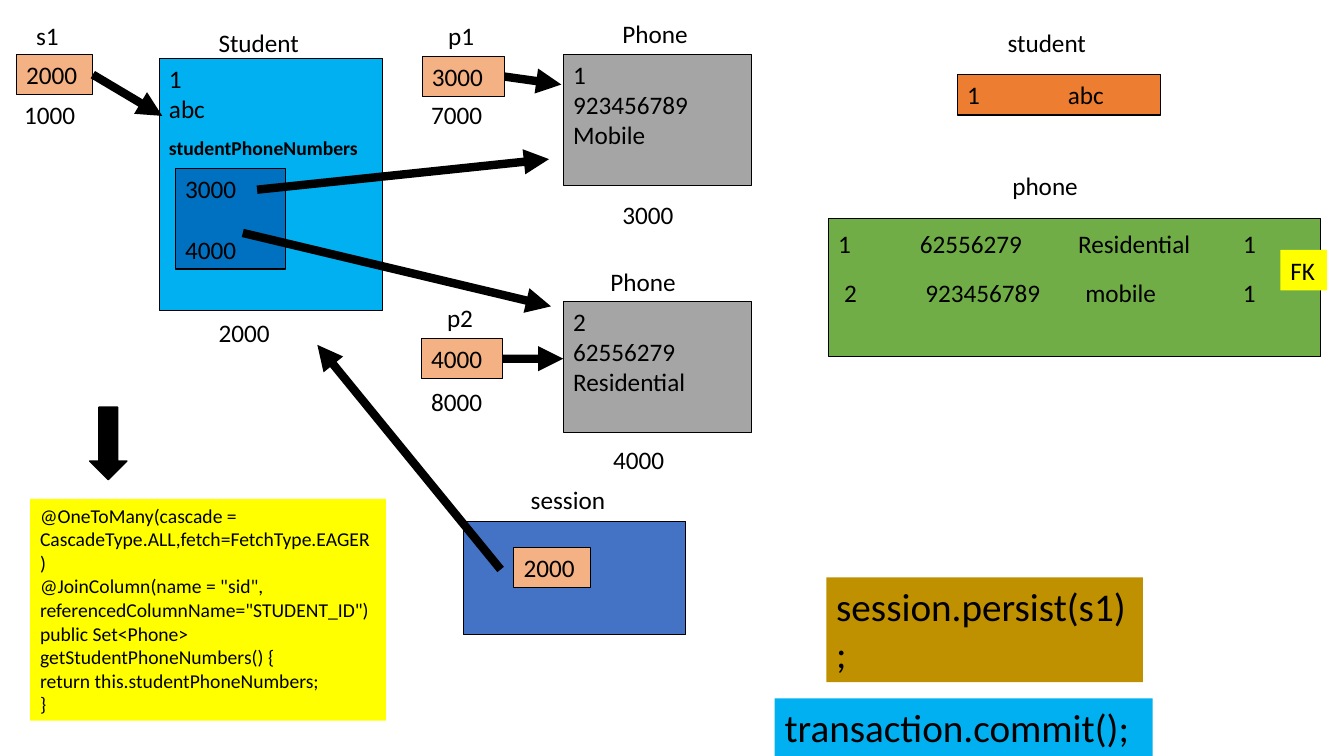
from lxml import etree
from pptx import Presentation, util as u
from pptx.dml.color import RGBColor
from pptx.enum import shapes, text
from pptx.oxml.ns import qn

BLACK, PEACH, GREY, YELLOW, SKY = "000000", "F4B183", "A5A5A5", "FFFF00", "00B0F0"
HEIGHT = 1.02

LABELS = [
    ("s1", 0.66, 0.38, 1.42), ("1000", 0.36, 2.39, 2.06),
    ("Student", 5.26, 0.56, 2.74), ("2000", 5.26, 7.87, 2.13),
    ("p1", 11.05, 0.38, 1.24), ("7000", 10.62, 2.39, 2.06),
    ("p2", 11.02, 7.49, 1.22), ("8000", 10.62, 9.6, 2.06),
    ("Phone", 15.44, 0.33, 2.74), ("3000", 15.44, 4.9, 2.13),
    ("Phone", 15.14, 6.58, 2.74), ("4000", 15.21, 11.07, 2.13),
    ("student", 25.15, 0.56, 2.84), ("phone", 25.27, 4.17, 2.59),
    ("session", 13.13, 12.09, 2.74),
]

BOXES = {
    "student": (["1", "abc"], 4.01, 1.47, 5.64, 6.35, SKY),
    "phone numbers": (["3000", "4000"], 4.42, 4.24, 2.77, 2.54, "0070C0"),
    "mobile": (["1", "923456789", "Mobile"], 14.2, 1.37, 4.75, 3.3, GREY),
    "residential": (["2", "62556279", "Residential"], 14.2, 7.59, 4.75, 3.3, GREY),
    "s1": (["2000"], 0.41, 1.37, 1.93, HEIGHT, PEACH),
    "p1": (["3000"], 10.64, 1.42, 2.08, HEIGHT, PEACH),
    "p2": (["4000"], 10.62, 8.53, 2.06, HEIGHT, PEACH),
    "student row": (["1\tabc"], 24.13, 1.88, 5.13, HEIGHT, "ED7D31"),
    "phone rows": (["1\t62556279\tResidential\t1", "\t2\t923456789\tmobile\t1"],
                   20.88, 5.51, 12.4, 3.48, "70AD47"),
    "session": ([], 11.68, 13.13, 5.61, 2.87, "4472C4"),
    "session entry": (["2000"], 12.95, 13.79, 1.93, HEIGHT, PEACH),
}

MAPPING = [
    "@OneToMany(cascade = CascadeType.ALL,fetch=FetchType.EAGER)",
    '@JoinColumn(name = "sid", referencedColumnName="STUDENT_ID")',
    "public Set<Phone> getStudentPhoneNumbers() {",
    "return this.studentPhoneNumbers;",
    "}",
]
NOTES = [
    (["FK"], 32.28, 6.3, 1.17, HEIGHT, YELLOW, 18),
    (["session.persist(s1);"], 20.83, 14.55, 7.98, 2.64, "BF9000", 28),
    (["transaction.commit();"], 19.53, 17.6, 9.53, 1.45, SKY, 28),
    (MAPPING, 0.76, 12.57, 8.97, 5.59, YELLOW, 14),
]

TABS = {"student row": [[2.54]],
        "phone rows": [[2.06, 6.05, 10.21], [0.15, 2.2, 6.23, 10.2]]}

ARROWS = [
    ("s1", 2.34, 1.88, 4.09, 2.92),
    ("p1", 12.72, 1.93, 14.15, 2.13),
    ("p2", 12.68, 9.04, 14.2, 9.04),
    (None, 6.48, 4.78, 13.84, 4.01),
    (None, 6.12, 5.87, 13.89, 7.72),
    (None, 12.62, 14.35, 8.0, 8.69),
]


def colour(value):
    """Return the colour for a hex string."""
    return RGBColor.from_string(value)


def write(frame, lines, size=18, bold=False, tabs=()):
    """Fill a text frame with left-aligned paragraphs."""
    frame.word_wrap = True
    frame.vertical_anchor = text.MSO_ANCHOR.TOP
    for index, line in enumerate(lines):
        paragraph = frame.add_paragraph() if index else frame.paragraphs[0]
        paragraph.text = line
        if tabs:
            stops = etree.SubElement(paragraph._p.get_or_add_pPr(), qn("a:tabLst"))
            for stop in tabs[index]:
                etree.SubElement(stops, qn("a:tab"), pos=str(u.Cm(stop)), algn="l")
        paragraph.alignment = text.PP_ALIGN.LEFT
        font = paragraph.font
        font.name, font.size, font.bold = "Calibri", u.Pt(size), bold
        font.color.rgb = colour(BLACK)


def add_filled(slide, preset, left, top, width, height, fill, outline=None):
    """Add a flat preset shape with an optional black outline."""
    shape = slide.shapes.add_shape(preset, *map(u.Cm, (left, top, width, height)))
    shape.shadow.inherit = False
    shape.fill.solid()
    shape.fill.fore_color.rgb = colour(fill)
    if outline:
        shape.line.color.rgb = colour(BLACK)
        shape.line.width = u.Pt(outline)
    else:
        shape.line.fill.background()
    return shape


def add_label(slide, label, left, top, width, size=18, bold=False):
    """Add a one-line caption."""
    caption = slide.shapes.add_textbox(*map(u.Cm, (left, top, width, HEIGHT)))
    write(caption.text_frame, [label], size, bold)


def add_arrow(slide, source, ends):
    """Draw a thick arrow, joined to its source box if there is one."""
    arrow = slide.shapes.add_connector(shapes.MSO_CONNECTOR.STRAIGHT, *map(u.Cm, ends))
    if source:
        arrow.begin_connect(source, 3)
    arrow.line.color.rgb = colour(BLACK)
    arrow.line.width = u.Pt(6)
    etree.SubElement(arrow.line._get_or_add_ln(), qn("a:tailEnd"), type="triangle")
    etree.SubElement(arrow._element.spPr, qn("a:effectLst"))


def main():
    """Build the object and table diagram."""
    deck = Presentation()
    deck.slide_width, deck.slide_height = u.Cm(33.88), u.Cm(19.05)
    slide = deck.slides.add_slide(deck.slide_layouts[6])
    rectangle = shapes.MSO_SHAPE.RECTANGLE

    boxes = {}
    for part, (lines, *place, fill) in BOXES.items():
        boxes[part] = add_filled(slide, rectangle, *place, fill, 0.75)
        write(boxes[part].text_frame, lines, tabs=TABS.get(part, ()))
    boxes["phone numbers"].text_frame.paragraphs[1].space_before = u.Pt(22)
    for row in boxes["phone rows"].text_frame.paragraphs:
        row.line_spacing, row.space_after = 1.15, u.Pt(10)

    for lines, *place, fill, size in NOTES:
        write(add_filled(slide, rectangle, *place, fill).text_frame, lines, size)
    for label in LABELS:
        add_label(slide, *label)
    add_label(slide, "studentPhoneNumbers", 4.01, 3.3, 6.6, 14, True)

    add_filled(slide, shapes.MSO_SHAPE.DOWN_ARROW, 2.26, 10.26, 0.94, 1.83, BLACK, 1)
    for source, *ends in ARROWS:
        add_arrow(slide, boxes.get(source), ends)
    deck.save("out.pptx")


if __name__ == "__main__":
    main()
